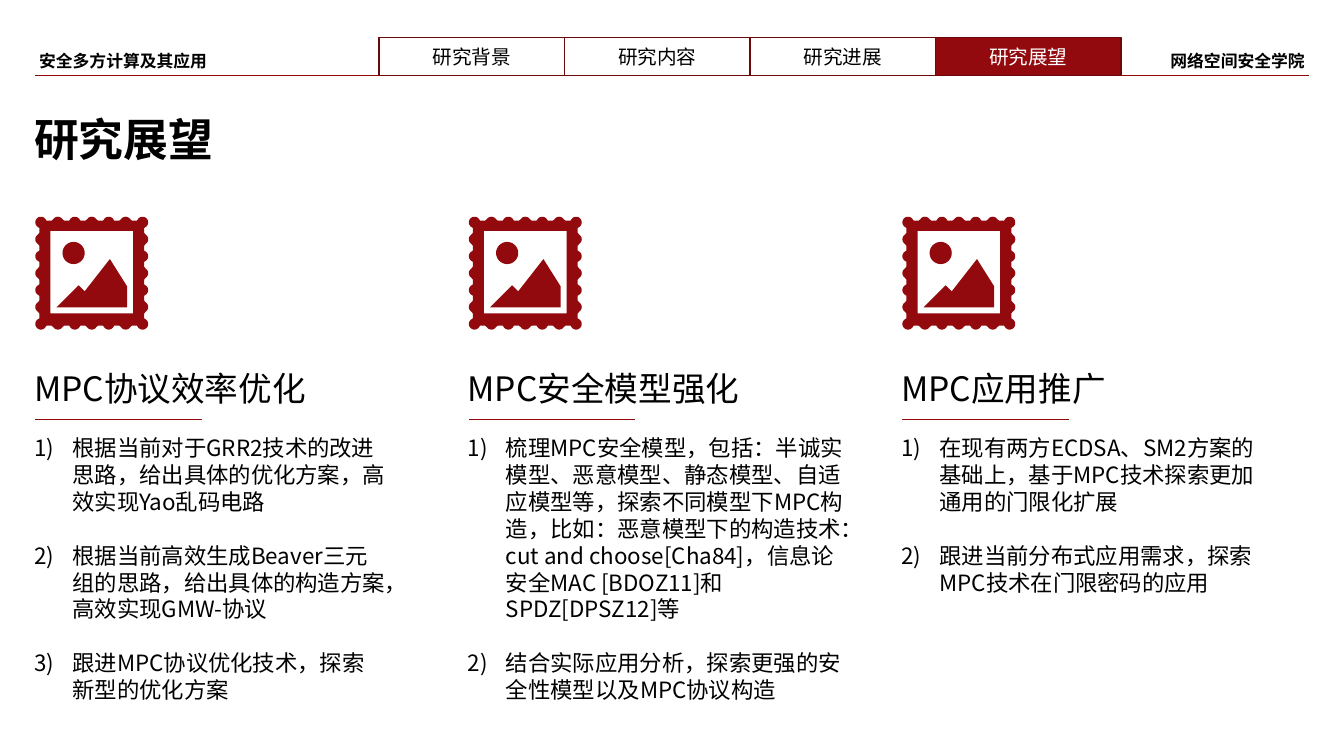
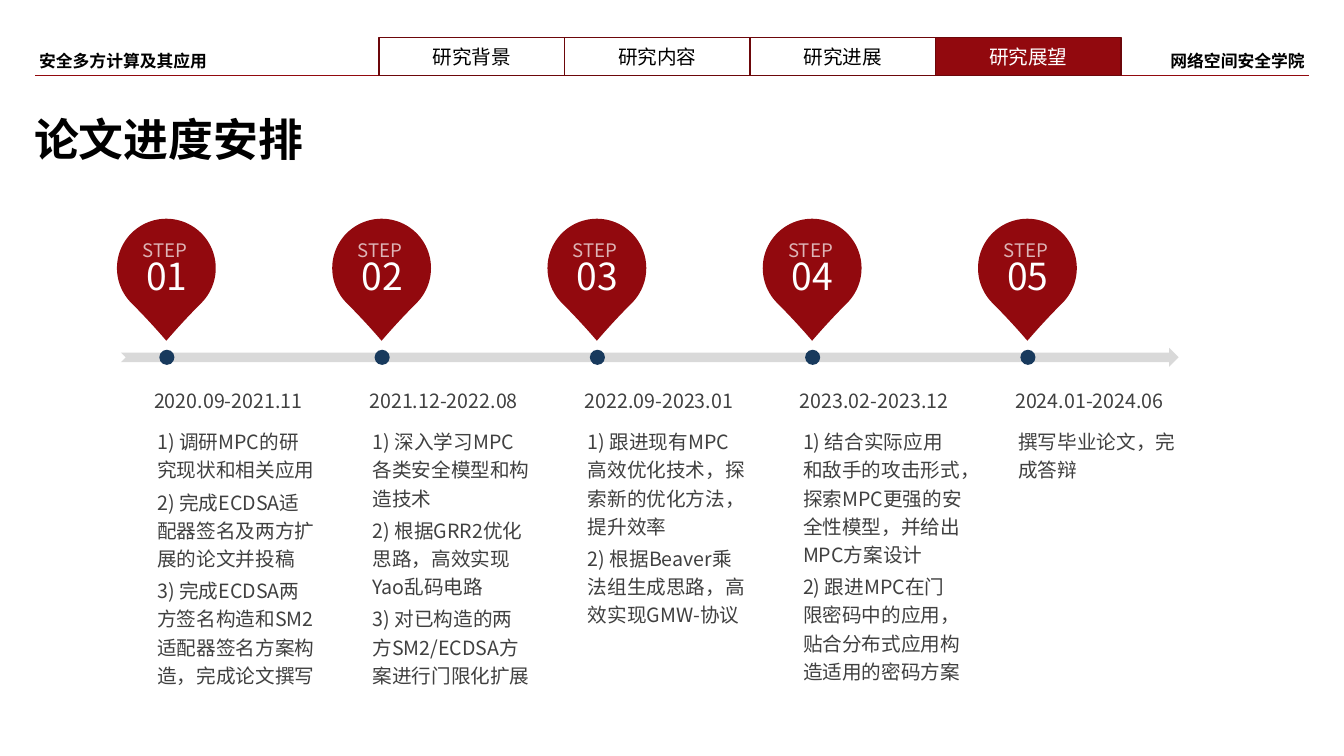
"""Build the research outlook and thesis schedule slides."""
from dataclasses import dataclass
from math import cos, pi, sin, sqrt

from lxml import etree
from pptx import Presentation
from pptx.dml.color import RGBColor
from pptx.enum.shapes import MSO_CONNECTOR, MSO_SHAPE
from pptx.enum.text import MSO_ANCHOR, PP_ALIGN
from pptx.oxml.ns import qn
from pptx.util import Inches, Pt


@dataclass(frozen=True)
class Theme:
    font: str = "Noto Sans CJK SC"
    red: str = "92090E"
    dark_red: str = "6C070A"
    navy: str = "183A5D"
    track: str = "D9D9D9"
    black: str = "000000"
    gray: str = "404040"
    white: str = "FFFFFF"
    title: float = 32
    heading: float = 24
    body: float = 16
    small: float = 14
    header: float = 12
    step: float = 13.3
    number: float = 26.6


theme = Theme()


def write(shape, text, size, color=theme.black, bold=False, align=PP_ALIGN.LEFT):
    """Append one styled paragraph to a shape and return it."""
    frame = shape.text_frame
    frame.word_wrap = True
    paragraph = frame.add_paragraph() if frame.text else frame.paragraphs[0]
    paragraph.alignment = align
    run = paragraph.add_run()
    run.text = text
    run.font.size = Pt(size)
    run.font.bold = bold
    run.font.color.rgb = RGBColor.from_string(color)
    run.font.name = theme.font
    etree.SubElement(run.font._element, qn("a:ea"), typeface=theme.font)
    return paragraph


def paint(shape, fill=None, line=None, weight=0.5):
    """Set fill and line, and remove the shadow."""
    if hasattr(shape, "fill"):
        if fill:
            shape.fill.solid()
            shape.fill.fore_color.rgb = RGBColor.from_string(fill)
        else:
            shape.fill.background()
    if line:
        shape.line.color.rgb = RGBColor.from_string(line)
        shape.line.width = Pt(weight)
    else:
        shape.line.fill.background()
    etree.SubElement(shape.element.spPr, qn("a:effectLst"))


prs = Presentation()
prs.slide_width, prs.slide_height = Inches(13.33), Inches(7.5)

TABS = ["研究背景", "研究内容", "研究进展", "研究展望"]
TAB_WIDTH = 1.84
slides = []
for title in ["研究展望", "论文进度安排"]:
    slide = prs.slides.add_slide(prs.slide_layouts[6])
    slides.append(slide)
    topic = slide.shapes.add_textbox(Inches(0.29), Inches(0.45), Inches(3.4), Inches(0.3))
    write(topic, "安全多方计算及其应用", theme.header, bold=True)
    rule = slide.shapes.add_connector(
        MSO_CONNECTOR.STRAIGHT, Inches(0.35), Inches(0.75), Inches(12.98), Inches(0.75))
    paint(rule, line=theme.red)
    for i, name in enumerate(TABS):
        active = name == TABS[-1]
        tab = slide.shapes.add_shape(
            MSO_SHAPE.RECTANGLE, Inches(3.76 + i * TAB_WIDTH), Inches(0.37),
            Inches(TAB_WIDTH), Inches(0.38))
        paint(tab, theme.red if active else None, theme.dark_red, 1)
        tab.text_frame.vertical_anchor = MSO_ANCHOR.MIDDLE
        write(tab, name, theme.small, theme.white if active else theme.black,
              align=PP_ALIGN.CENTER)
    school = slide.shapes.add_textbox(Inches(10.83), Inches(0.45), Inches(2.21), Inches(0.3))
    write(school, "网络空间安全学院", theme.header, bold=True, align=PP_ALIGN.RIGHT)
    heading = slide.shapes.add_textbox(Inches(0.24), Inches(1.06), Inches(5.1), Inches(0.64))
    write(heading, title, theme.title, bold=True)

outlook, schedule = slides

STAMP, BUMP, PITCH, EDGE = 1.12, 0.056, 0.168, 0.016
side = []
for i in range(69):
    s = EDGE + i * 0.016
    offset = s - BUMP - round((s - BUMP) / PITCH) * PITCH
    side.append((s, BUMP - max(EDGE, sqrt(max(0, BUMP ** 2 - offset ** 2)))))
perforation = []
for turn in range(4):
    perforation += side
    side = [(STAMP - y, x) for x, y in side]
window = [(0.15, 0.14), (0.15, 0.96), (0.97, 0.96), (0.97, 0.14)]
hills = [(0.49, 0.74), (0.74, 0.42), (0.91, 0.69), (0.91, 0.9), (0.21, 0.9), (0.43, 0.68)]
sun = [(0.38 + 0.11 * cos(k * pi / 16), 0.36 + 0.11 * sin(k * pi / 16)) for k in range(32)]

DIRECTIONS = [
    ("MPC协议效率优化", 3.69, [
        "根据当前对于GRR2技术的改进思路，给出具体的优化方案，高效实现Yao乱码电路",
        "根据当前高效生成Beaver三元组的思路，给出具体的构造方案，高效实现GMW-协议",
        "跟进MPC协议优化技术，探索新型的优化方案"]),
    ("MPC安全模型强化", 3.92, [
        "梳理MPC安全模型，包括：半诚实模型、恶意模型、静态模型、自适应模型等，"
        "探索不同模型下MPC构造，比如：恶意模型下的构造技术：cut and choose[Cha84]，"
        "信息论安全MAC [BDOZ11]和SPDZ[DPSZ12]等",
        "结合实际应用分析，探索更强的安全性模型以及MPC协议构造"]),
    ("MPC应用推广", 3.74, [
        "在现有两方ECDSA、SM2方案的基础上，基于MPC技术探索更加通用的门限化扩展",
        "跟进当前分布式应用需求，探索MPC技术在门限密码的应用"]),
]
for column, (name, width, points) in enumerate(DIRECTIONS):
    left = 0.35 + column * 4.3
    label = outlook.shapes.add_textbox(
        Inches(left - 0.11), Inches(3.6), Inches(4.15), Inches(0.5))
    write(label, name, theme.heading)
    builder = None
    for contour in (perforation, window, hills, sun):
        outline = [(Inches(left + x), Inches(2.15 + y)) for x, y in contour]
        if builder:
            builder.move_to(*outline[0])
        else:
            builder = outlook.shapes.build_freeform(*outline[0])
        builder.add_line_segments(outline[1:], close=True)
    paint(builder.convert_to_shape(), theme.red)
    details = outlook.shapes.add_textbox(
        Inches(left - 0.11), Inches(4.26), Inches(width), Inches(2.79))
    for i, point in enumerate(points):
        paragraph = write(details, point, theme.body)
        paragraph.space_before = Pt(19.2 if i else 0)
        properties = paragraph._p.get_or_add_pPr()
        properties.set("marL", str(Inches(0.38)))
        properties.set("indent", str(-Inches(0.38)))
        etree.SubElement(properties, qn("a:buAutoNum"), type="arabicParenR")
    underline = outlook.shapes.add_connector(
        MSO_CONNECTOR.STRAIGHT, Inches(left), Inches(4.16), Inches(left + 1.65), Inches(4.16))
    paint(underline, line=theme.red)

track = schedule.shapes.add_shape(
    MSO_SHAPE.NOTCHED_RIGHT_ARROW, Inches(1.2), Inches(3.45), Inches(10.49), Inches(0.19))
paint(track, theme.track)

STAGES = [
    ("2020.09-2021.11", ["1) 调研MPC的研究现状和相关应用",
                         "2) 完成ECDSA适配器签名及两方扩展的论文并投稿",
                         "3) 完成ECDSA两方签名构造和SM2适配器签名方案构造，完成论文撰写"]),
    ("2021.12-2022.08", ["1) 深入学习MPC各类安全模型和构造技术",
                         "2) 根据GRR2优化思路，高效实现Yao乱码电路",
                         "3) 对已构造的两方SM2/ECDSA方案进行门限化扩展"]),
    ("2022.09-2023.01", ["1) 跟进现有MPC高效优化技术，探索新的优化方法，提升效率",
                         "2) 根据Beaver乘法组生成思路，高效实现GMW-协议"]),
    ("2023.02-2023.12", ["1) 结合实际应用和敌手的攻击形式，探索MPC更强的安全性模型，并给出MPC方案设计",
                         "2) 跟进MPC在门限密码中的应用，贴合分布式应用构造适用的密码方案"]),
    ("2024.01-2024.06", ["撰写毕业论文，完成答辩"]),
]
STAGE_PITCH = 8.54 / (len(STAGES) - 1)
for i, (period, tasks) in enumerate(STAGES):
    center = 1.65 + i * STAGE_PITCH
    pin = schedule.shapes.add_shape(
        MSO_SHAPE.TEAR, Inches(center - 0.49), Inches(2.17), Inches(0.98), Inches(0.98))
    pin.adjustments[0] = 1.04
    pin.rotation = 135
    paint(pin, theme.red)

    step = schedule.shapes.add_textbox(
        Inches(center - 0.4), Inches(2.32), Inches(0.81), Inches(0.72))
    step.text_frame.vertical_anchor = MSO_ANCHOR.MIDDLE
    step.text_frame.margin_top = step.text_frame.margin_bottom = 0
    for text, size in [("STEP ", theme.step), (f"{i + 1:02}", theme.number)]:
        paragraph = write(step, text, size, theme.white, align=PP_ALIGN.CENTER)
        paragraph.line_spacing = Pt(size)
    step_color = step.element.find(".//" + qn("a:srgbClr"))
    etree.SubElement(step_color, qn("a:alpha"), val="70000")

    dot = schedule.shapes.add_shape(
        MSO_SHAPE.OVAL, Inches(center - 0.07), Inches(3.47), Inches(0.15), Inches(0.15))
    paint(dot, theme.navy)

    dates = schedule.shapes.add_textbox(
        Inches(center - 0.22), Inches(3.81), Inches(1.69), Inches(0.34))
    write(dates, period, theme.small, theme.gray)
    plan = schedule.shapes.add_textbox(
        Inches(center - 0.22), Inches(4.15), Inches(1.84), Inches(2.69))
    plan.text_frame.margin_left = plan.text_frame.margin_right = Inches(0.13)
    plan.text_frame.margin_top = plan.text_frame.margin_bottom = Inches(0.07)
    for task in tasks:
        paragraph = write(plan, task, theme.small, theme.gray)
        paragraph.line_spacing = 1.2
        paragraph.space_before = Pt(2.8)

prs.save("out.pptx")
